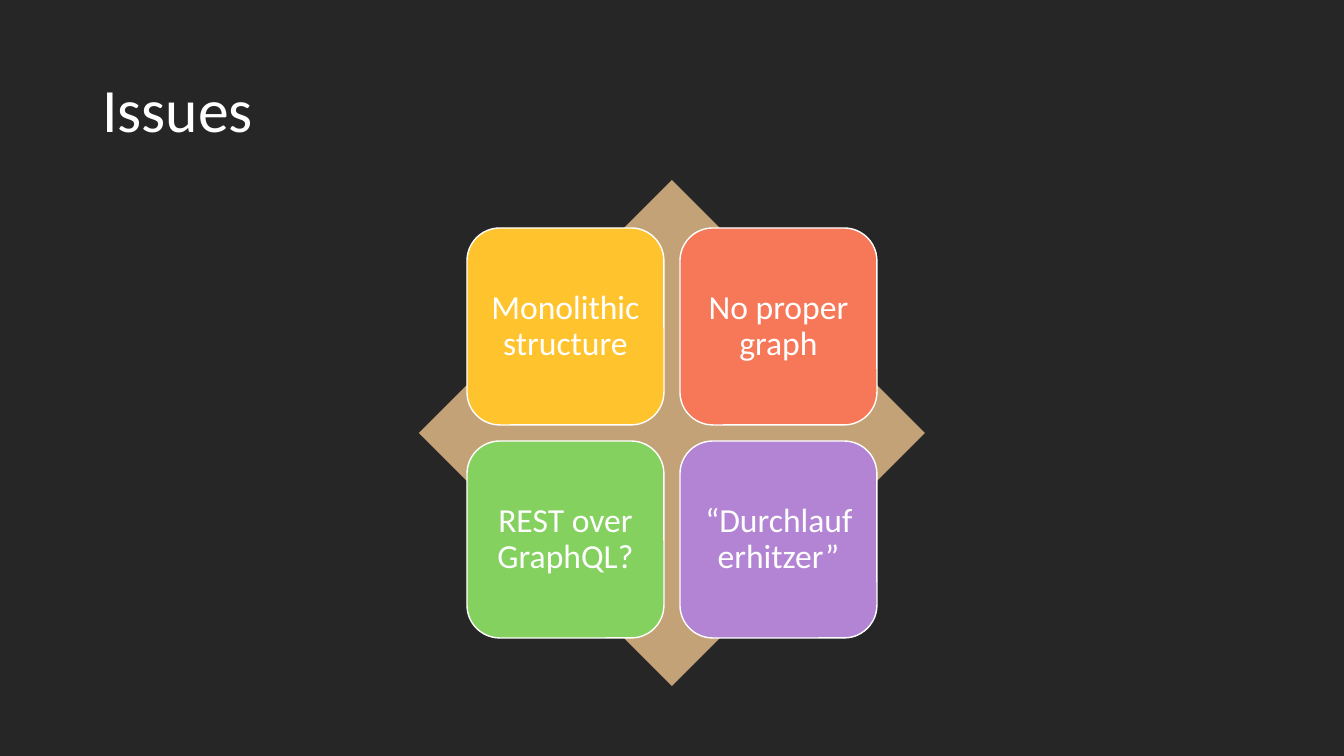
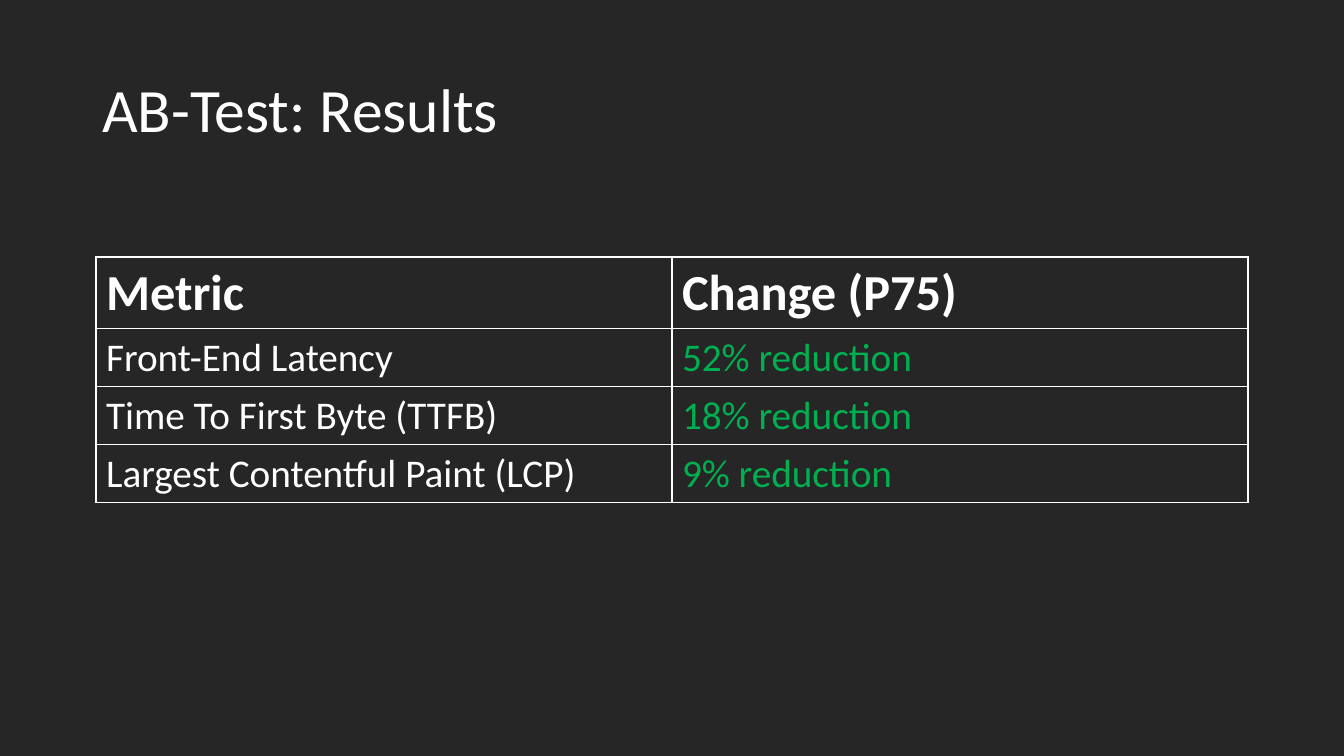
from lxml import etree
from pptx import Presentation
from pptx.dml.color import RGBColor
from pptx.enum.shapes import MSO_SHAPE
from pptx.enum.text import MSO_ANCHOR, MSO_AUTO_SIZE, PP_ALIGN
from pptx.oxml.ns import qn
from pptx.util import Pt

EMU_PER_PX = 914400 / 100.8
SLIDE_WIDTH, SLIDE_HEIGHT = 1344, 756
TITLE_ONLY_LAYOUT = 5

DIAMOND = MSO_SHAPE.DIAMOND
ROUNDED_RECTANGLE = MSO_SHAPE.ROUNDED_RECTANGLE
MIDDLE = MSO_ANCHOR.MIDDLE
NO_AUTOFIT = MSO_AUTO_SIZE.NONE
LEFT, CENTER = PP_ALIGN.LEFT, PP_ALIGN.CENTER

BACKGROUND = RGBColor(0x26, 0x26, 0x26)
WHITE = RGBColor(0xFF, 0xFF, 0xFF)
SAND = RGBColor(0xC4, 0xA2, 0x77)
YELLOW = RGBColor(0xFF, 0xC3, 0x2D)
CORAL = RGBColor(0xF6, 0x78, 0x58)
LIGHT_GREEN = RGBColor(0x84, 0xD1, 0x60)
PURPLE = RGBColor(0xB3, 0x84, 0xD3)
RESULT_GREEN = RGBColor(0x00, 0xB0, 0x50)

FONT = "Calibri"
TITLE_FONT = {"name": FONT, "size": Pt(44), "bold": False}
TILE_FONT = {"name": FONT, "size": Pt(24), "bold": False}
HEADER_FONT = {"name": FONT, "size": Pt(36), "bold": True}
BODY_FONT = {"name": FONT, "size": Pt(28), "bold": False}
BORDER_WIDTH = Pt(0.91)

TITLE_BOX = (92, 40, 1160, 146)
DIAMOND_BOX = (419, 180, 506, 506)
TABLE_BOX = (96, 257, 1152, 245)

ISSUES = [
    ("Monolithic structure", YELLOW),
    ("No proper graph", CORAL),
    ("REST over GraphQL?", LIGHT_GREEN),
    ("“Durchlauferhitzer”", PURPLE),
]
RESULTS = [
    ("Metric", "Change (P75)"),
    ("Front-End Latency", "52% reduction"),
    ("Time To First Byte (TTFB)", "18% reduction"),
    ("Largest Contentful Paint (LCP)", "9% reduction"),
]


def px(length):
    return round(length * EMU_PER_PX)


def set_attributes(target, values):
    for name, value in values.items():
        setattr(target, name, value)


def write_text(text_frame, text, font, color, **paragraph_format):
    text_frame.text = text
    paragraph = text_frame.paragraphs[0]
    set_attributes(paragraph, paragraph_format)
    run_font = paragraph.runs[0].font
    set_attributes(run_font, font)
    run_font.color.rgb = color


def add_titled_slide(presentation, title):
    slide = presentation.slides.add_slide(presentation.slide_layouts[TITLE_ONLY_LAYOUT])
    shape = slide.shapes.title
    edges = ("left", "top", "width", "height")
    set_attributes(shape, dict(zip(edges, map(px, TITLE_BOX))))
    set_attributes(shape.text_frame, {
        "word_wrap": True, "auto_size": NO_AUTOFIT, "vertical_anchor": MIDDLE,
    })
    write_text(shape.text_frame, title, TITLE_FONT, WHITE, alignment=LEFT, line_spacing=0.9)
    return slide


def add_filled_shape(slide, preset, box, color):
    shape = slide.shapes.add_shape(preset, *map(px, box))
    shape.shadow.inherit = False
    shape.fill.solid()
    shape.fill.fore_color.rgb = color
    shape.line.fill.background()
    return shape


def add_issue_matrix(slide, box, issues):
    left, top, width, height = box
    add_filled_shape(slide, DIAMOND, box, SAND)
    tile, gap, columns = 197, 16, 2
    extent = columns * tile + (columns - 1) * gap
    first_left = left + (width - extent) / 2
    first_top = top + (height - extent) / 2
    margins = ("margin_left", "margin_top", "margin_right", "margin_bottom")
    for index, (text, color) in enumerate(issues):
        row, column = divmod(index, columns)
        tile_box = (first_left + column * (tile + gap),
                    first_top + row * (tile + gap), tile, tile)
        shape = add_filled_shape(slide, ROUNDED_RECTANGLE, tile_box, color)
        shape.line.color.rgb = WHITE
        shape.line.width = Pt(1)
        set_attributes(shape.text_frame, {"word_wrap": True, "vertical_anchor": MIDDLE})
        set_attributes(shape.text_frame, dict.fromkeys(margins, px(10)))
        write_text(shape.text_frame, text, TILE_FONT, WHITE, alignment=CENTER, line_spacing=0.9)


def add_cell_borders(cell):
    properties = cell._tc.get_or_add_tcPr()
    for side in ("a:lnL", "a:lnR", "a:lnT", "a:lnB"):
        line = etree.SubElement(properties, qn(side), w=str(BORDER_WIDTH))
        fill = etree.SubElement(line, qn("a:solidFill"))
        etree.SubElement(fill, qn("a:srgbClr"), val=str(WHITE))


def add_results_table(slide, box, rows):
    left, top, width, height = box
    column_count = len(rows[0])
    header_height = 71
    row_height = (height - header_height) / (len(rows) - 1)
    table = slide.shapes.add_table(len(rows), column_count, *map(px, box)).table
    table.horz_banding = False
    for column in table.columns:
        column.width = px(width / column_count)
    for row_index, texts in enumerate(rows):
        is_header = row_index == 0
        table.rows[row_index].height = px(header_height if is_header else row_height)
        for column_index, text in enumerate(texts):
            cell = table.cell(row_index, column_index)
            add_cell_borders(cell)
            cell.fill.background()
            is_result = column_index > 0 and not is_header
            write_text(cell.text_frame, text, HEADER_FONT if is_header else BODY_FONT,
                       RESULT_GREEN if is_result else WHITE)


def main():
    presentation = Presentation()
    set_attributes(presentation, {
        "slide_width": px(SLIDE_WIDTH), "slide_height": px(SLIDE_HEIGHT),
    })
    background = presentation.slide_master.background.fill
    background.solid()
    background.fore_color.rgb = BACKGROUND
    add_issue_matrix(add_titled_slide(presentation, "Issues"), DIAMOND_BOX, ISSUES)
    add_results_table(add_titled_slide(presentation, "AB-Test: Results"), TABLE_BOX, RESULTS)
    presentation.save("out.pptx")


if __name__ == "__main__":
    main()
